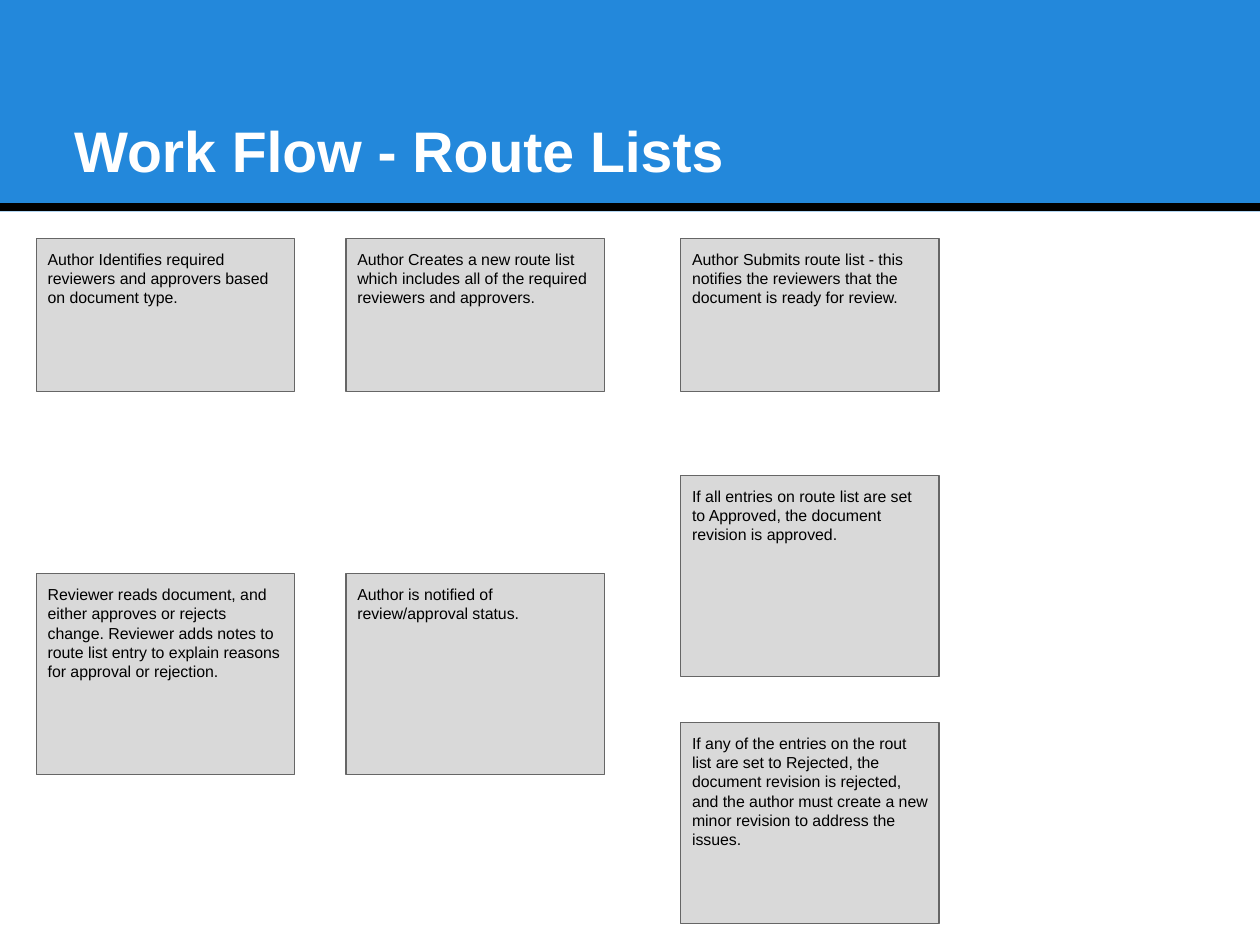
from pptx import Presentation
from pptx.dml.color import RGBColor
from pptx.enum.shapes import MSO_CONNECTOR, MSO_SHAPE
from pptx.enum.text import MSO_ANCHOR, PP_ALIGN
from pptx.oxml.ns import qn
from pptx.util import Cm, Pt
from lxml.etree import SubElement

BLUE = RGBColor(0x23, 0x88, 0xDB)
BLACK = RGBColor(0x00, 0x00, 0x00)
WHITE = RGBColor(0xFF, 0xFF, 0xFF)
LIGHT_GRAY = RGBColor(0xD9, 0xD9, 0xD9)
DARK_GRAY = RGBColor(0x66, 0x66, 0x66)

PAGE_WIDTH, PAGE_HEIGHT = 28, 21


class SlideBuilder:
    """Holds the style and the current slide; lengths are in centimetres."""

    font_name = "Arial"
    frame_format = {
        "word_wrap": True,
        "margin_left": Cm(0.25),
        "margin_right": Cm(0.25),
        "margin_top": Cm(0.25),
        "margin_bottom": Cm(0.25),
    }

    def __init__(self, page):
        self.page = page

    def add_text(self, shape, text, size, color, bold=False, anchor=MSO_ANCHOR.TOP):
        frame = shape.text_frame
        frame_format = {**self.frame_format, "vertical_anchor": anchor}
        for name, value in frame_format.items():
            setattr(frame, name, value)
        paragraph = frame.paragraphs[0]
        paragraph.alignment = PP_ALIGN.LEFT
        span = paragraph.add_run()
        span.text = text
        span_format = {"name": self.font_name, "size": Pt(size), "bold": bold}
        for name, value in span_format.items():
            setattr(span.font, name, value)
        span.font.color.rgb = color

    def rectangle(self, left, top, width, height, fill, outline=None):
        shape = self.page.shapes.add_shape(
            MSO_SHAPE.RECTANGLE, Cm(left), Cm(top), Cm(width), Cm(height))
        shape.shadow.inherit = False
        shape.fill.solid()
        shape.fill.fore_color.rgb = fill
        if outline is None:
            shape.line.fill.background()
        else:
            shape.line.color.rgb = outline
            shape.line.width = Pt(0.75)
        return shape

    def rule(self, top, width, color):
        line = self.page.shapes.add_connector(
            MSO_CONNECTOR.STRAIGHT, Cm(0), Cm(top), Cm(PAGE_WIDTH), Cm(top))
        line.line.color.rgb = color
        line.line.width = Pt(width)
        SubElement(line._element.spPr, qn("a:effectLst"))

    def title(self, text, left, top, width, height):
        box = self.page.shapes.add_textbox(
            Cm(left), Cm(top), Cm(width), Cm(height))
        self.add_text(box, text, 36, WHITE, bold=True, anchor=MSO_ANCHOR.BOTTOM)

    def step(self, text, left, top, width, height):
        box = self.rectangle(left, top, width, height, LIGHT_GRAY, DARK_GRAY)
        self.add_text(box, text, 10, BLACK)


deck = Presentation()
deck.slide_width, deck.slide_height = Cm(PAGE_WIDTH), Cm(PAGE_HEIGHT)
builder = SlideBuilder(deck.slides.add_slide(deck.slide_layouts[6]))

# Header band
builder.rectangle(0, 0, PAGE_WIDTH, 4.7, BLUE)
builder.rule(4.6, 4.5, BLACK)
builder.title("Work Flow - Route Lists", 1.4, 0.84, 25.2, 3.5)

# Workflow steps: column, top, height, text
STEP_WIDTH = 5.74
SHORT, TALL = 3.4, 4.47
COLUMNS = (0.81, 7.69, 15.13)
FIRST_ROW, REVIEW_ROW, APPROVED_ROW, REJECTED_ROW = 5.3, 12.75, 10.57, 16.06
STEPS = (
    (0, FIRST_ROW, SHORT,
     "Author Identifies required reviewers and approvers based on document type."),
    (1, FIRST_ROW, SHORT,
     "Author Creates a new route list which includes all of the required "
     "reviewers and approvers."),
    (2, FIRST_ROW, SHORT,
     "Author Submits route list - this notifies the reviewers that the "
     "document is ready for review."),
    (0, REVIEW_ROW, TALL,
     "Reviewer reads document, and either approves or rejects change. "
     "Reviewer adds notes to route list entry to explain reasons for "
     "approval or rejection."),
    (1, REVIEW_ROW, TALL,
     "Author is notified of review/approval status."),
    (2, APPROVED_ROW, TALL,
     "If all entries on route list are set to Approved, the document "
     "revision is approved."),
    (2, REJECTED_ROW, TALL,
     "If any of the entries on the rout list are set to Rejected, the "
     "document revision is rejected, and the author must create a new minor "
     "revision to address the issues."),
)
for column, top, height, text in STEPS:
    builder.step(text, COLUMNS[column], top, STEP_WIDTH, height)

deck.save("out.pptx")
